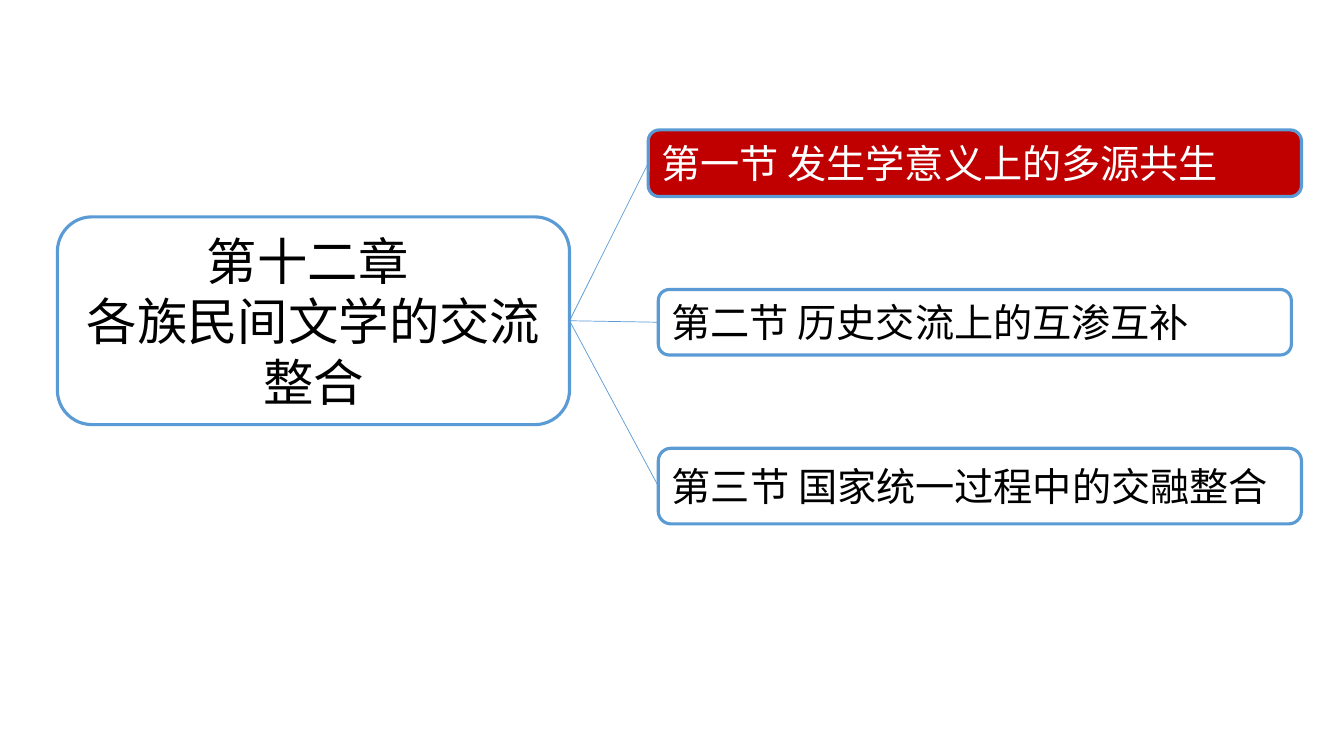
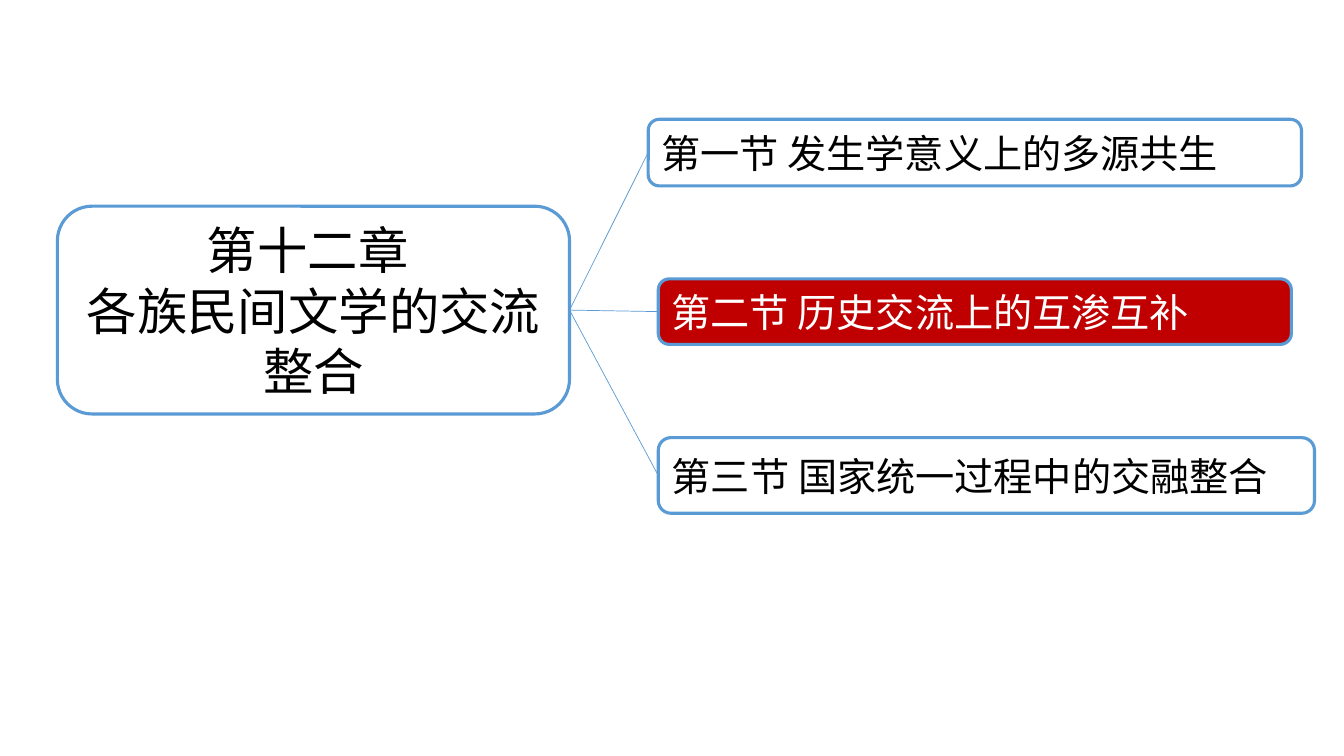
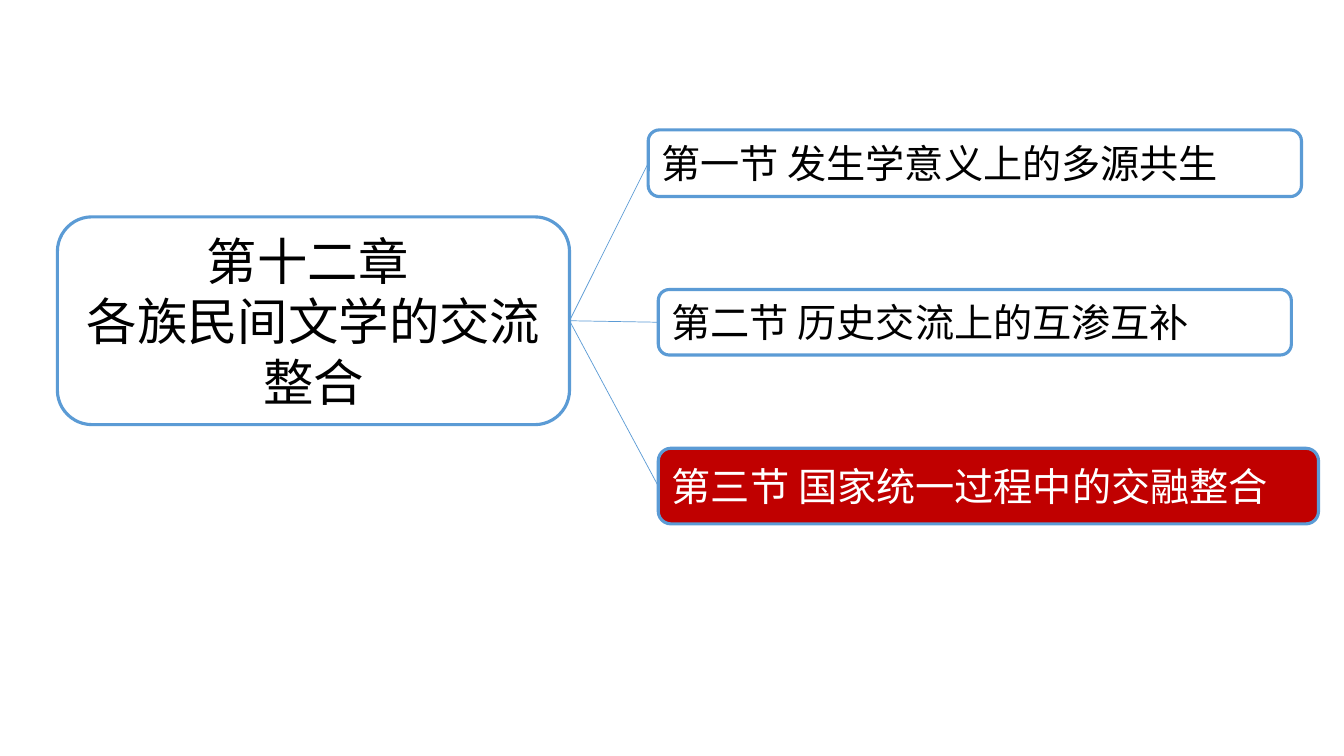
"""Build three chapter-outline slides, each highlighting one section."""
from lxml import etree
from pptx import Presentation
from pptx.dml.color import RGBColor
from pptx.enum.shapes import MSO_CONNECTOR, MSO_SHAPE
from pptx.enum.text import MSO_ANCHOR, PP_ALIGN
from pptx.oxml.ns import qn
from pptx.util import Pt

ROUNDED = MSO_SHAPE.ROUNDED_RECTANGLE
STRAIGHT = MSO_CONNECTOR.STRAIGHT
MIDDLE = MSO_ANCHOR.MIDDLE
LEFT, CENTER = PP_ALIGN.LEFT, PP_ALIGN.CENTER
LEFT_SITE, RIGHT_SITE = 1, 3

FONT = "Noto Sans CJK SC"
BLUE, RED, BLACK, WHITE = "5B9BD5", "C00000", "000000", "FFFFFF"

CHAPTER = ["第十二章 ", "各族民间文学的交流整合"]
CHAPTER_BOX = (41, 154.9, 365.8, 148.4)
SECTIONS = [
    ("第一节 发生学意义上的多源共生", 463, 92.8, 466.6, 47.6),
    ("第二节 历史交流上的互渗互补", 470.2, 206.8, 452.2, 46.8),
    ("第三节 国家统一过程中的交融整合", 470.2, 320.2, 459.4, 54),
]
SLIDES = [
    {"active": 0, "shift": 0, "last_width": 459.4},
    {"active": 1, "shift": -7.6, "last_width": 468.7},
    {"active": 2, "shift": 0, "last_width": 471.6},
]


def color(hex_value):
    return RGBColor.from_string(hex_value)


def add_box(shapes, lines, box, size=28, ink=BLACK, fill=None, align=LEFT):
    node = shapes.add_shape(ROUNDED, *[Pt(length) for length in box])
    node.shadow.inherit = False
    node.line.color.rgb = color(BLUE)
    node.line.width = Pt(2.25)
    if fill:
        node.fill.solid()
        node.fill.fore_color.rgb = color(fill)
    else:
        node.fill.background()
    frame = node.text_frame
    frame.word_wrap = True
    frame.vertical_anchor = MIDDLE
    for index, line in enumerate(lines):
        paragraph = frame.add_paragraph() if index else frame.paragraphs[0]
        paragraph.alignment = align
        run = paragraph.add_run()
        run.text = line
        run.font.size = Pt(size)
        run.font.color.rgb = color(ink)
        run.font.name = FONT
        etree.SubElement(run.font._element, qn("a:ea"), typeface=FONT)
    return node


deck = Presentation()
deck.slide_width, deck.slide_height = Pt(960), Pt(540)

for state in SLIDES:
    slide = deck.slides.add_slide(deck.slide_layouts[6])
    outline = slide.shapes.add_group_shape().shapes
    left, top, width, height = CHAPTER_BOX
    chapter = add_box(outline, CHAPTER, (left, top + state["shift"], width, height),
                      size=36, align=CENTER)

    sections = []
    for number, (title, left, top, width, height) in enumerate(SECTIONS):
        active = number == state["active"]
        if number == len(SECTIONS) - 1:
            width = state["last_width"]
        sections.append(add_box(outline, [title], (left, top + state["shift"], width, height),
                                ink=WHITE if active else BLACK, fill=RED if active else None))

    for section in sections:
        branch = outline.add_connector(
            STRAIGHT, chapter.left + chapter.width, chapter.top + chapter.height // 2,
            section.left, section.top + section.height // 2)
        branch.begin_connect(chapter, RIGHT_SITE)
        branch.end_connect(section, LEFT_SITE)
        branch.line.color.rgb = color(BLUE)
        branch.line.width = Pt(0.5)
        etree.SubElement(branch._element.spPr, qn("a:effectLst"))

deck.save("out.pptx")
